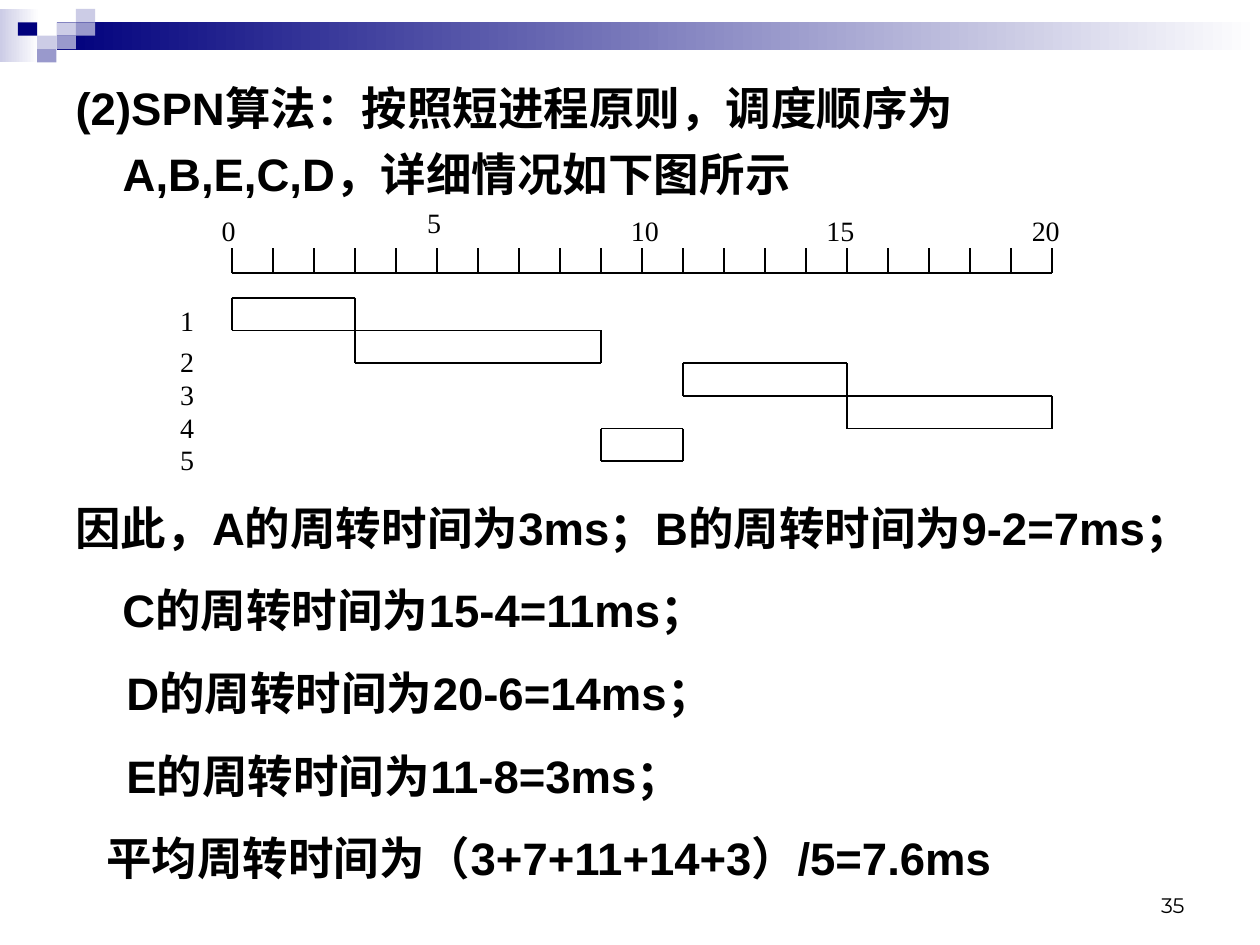
"""Build the slide on SPN scheduling with its timeline and turnaround times."""
from lxml import etree
from pptx import Presentation
from pptx import util as u
from pptx.dml.color import RGBColor
from pptx.enum import dml, shapes, text
from pptx.oxml.ns import qn

COLORS = {"ink": "000000", "navy": "00007D", "mid": "9999CC", "pale": "CCCCE6", "white": "FFFFFF"}
HANGING = 0.95
SQUARES = [(2, 1, "pale"), (3, 0, "pale"), (3, 1, "mid"), (1, 2, "pale"),
           (0, 1, "navy"), (2, 2, "mid"), (1, 3, "mid")]
SCALE_LABELS = [("0", 4.22, 4.19), ("5", 8.36, 4.01), ("10", 12.47, 4.19),
                ("15", 16.41, 4.19), ("20", 20.55, 4.19)]
PROCESSES = [(0, 3, 5.99), (3, 9, 6.83), (11, 15, 7.49), (15, 20, 8.15), (9, 11, 8.79)]
INTRO = [("(2)SPN算法：按照短进程原则，调度顺序为A,B,E,C,D，详细情况如下图所示", HANGING, -HANGING)]
RESULTS = [
    ("因此，A的周转时间为3ms；B的周转时间为9-2=7ms；", HANGING, -HANGING),
    ("C的周转时间为15-4=11ms；", HANGING, 0),
    ("D的周转时间为20-6=14ms；", 1.03, 0),
    ("E的周转时间为11-8=3ms；", 1.03, 0),
    ("平均周转时间为（3+7+11+14+3）/5=7.6ms", 0.62, 0),
]


class SlideBuilder:
    """Hold the style and the current slide."""

    def __init__(self, page):
        self.page = page
        self.start, self.end, self.ticks = 4.67, 21.21, 20
        self.axis_y, self.tick = 5.51, 0.51
        self.bars_y, self.row = 6.0, 0.66

    def color(self, name):
        return RGBColor.from_string(COLORS[name])

    def time_x(self, time):
        return self.start + (self.end - self.start) * time / self.ticks

    def rectangle(self, left, top, width, height, *names):
        box = self.page.shapes.add_shape(
            shapes.MSO_SHAPE.RECTANGLE, u.Cm(left), u.Cm(top), u.Cm(width), u.Cm(height))
        box.shadow.inherit = False
        box.line.fill.background()
        if len(names) == 1:
            box.fill.solid()
            box.fill.fore_color.rgb = self.color(names[0])
            return
        box.fill.gradient()
        box.fill.gradient_angle = 0
        for stop, name, position in zip(box.fill.gradient_stops, names, (0, 1)):
            stop.color.rgb = self.color(name)
            stop.position = position

    def line(self, x1, y1, x2, y2):
        line = self.page.shapes.add_connector(
            shapes.MSO_CONNECTOR.STRAIGHT, u.Cm(x1), u.Cm(y1), u.Cm(x2), u.Cm(y2))
        line.line.width = u.Pt(1)
        line.line.dash_style = dml.MSO_LINE.SOLID
        line.line.color.rgb = self.color("ink")
        etree.SubElement(line._element.spPr, qn("a:effectLst"))

    def bar(self, row, begin, finish):
        left, right = self.time_x(begin), self.time_x(finish)
        top = self.bars_y + row * self.row
        bottom = top + self.row
        for y in (top, bottom):
            self.line(left, y, right, y)
        for x in (left, right):
            self.line(x, top, x, bottom)

    def span(self, para, words, size, font, bold=False):
        span = para.add_run()
        span.text = words
        span.font.size = u.Pt(size)
        span.font.name = font
        span.font.bold = bold
        span.font.color.rgb = self.color("ink")

    def label(self, words, left, top, width, height, size=16, font="Times New Roman", right=False):
        box = self.page.shapes.add_textbox(u.Cm(left), u.Cm(top), u.Cm(width), u.Cm(height))
        box.text_frame.word_wrap = right
        para = box.text_frame.paragraphs[0]
        if right:
            box.text_frame.vertical_anchor = text.MSO_ANCHOR.BOTTOM
            para.alignment = text.PP_ALIGN.RIGHT
        self.span(para, words, size, font)

    def body(self, box, lines):
        frame = box.text_frame
        frame.word_wrap = True
        frame.auto_size = text.MSO_AUTO_SIZE.NONE
        for number, (words, margin, indent) in enumerate(lines):
            para = frame.add_paragraph() if number else frame.paragraphs[0]
            settings = para._p.get_or_add_pPr()
            settings.set("marL", str(u.Cm(margin)))
            settings.set("indent", str(u.Cm(indent)))
            etree.SubElement(settings, qn("a:buNone"))
            para.line_spacing = 1.2
            para.space_before = u.Pt(4.9 if number else 0)
            para.space_after = u.Pt(4.9)
            self.span(para, words, 26, "Arial", True)

    def header(self):
        self.rectangle(0, 0.18, 0.79, 1.07, "pale", "white")
        self.rectangle(1.14, 0.45, 24.26, 0.56, "navy", "white")
        for column, row, name in SQUARES:
            self.rectangle(0.36 + column * 0.39, 0.18 + row * 0.27, 0.39, 0.27, name)

    def timeline(self):
        self.line(self.start, self.axis_y, self.end, self.axis_y)
        for time in range(self.ticks + 1):
            x = self.time_x(time)
            self.line(x, self.axis_y, x, self.axis_y - self.tick)
        for words, left, top in SCALE_LABELS:
            self.label(words, left, top, 0.51 + 0.28 * len(words), 0.91)
        for row, (begin, finish, label_y) in enumerate(PROCESSES):
            self.bar(row, begin, finish)
            self.label(str(row + 1), 3.38, label_y, 0.79, 0.91)


def main():
    deck = Presentation()
    deck.slide_width, deck.slide_height = u.Cm(25.4), u.Cm(19.05)
    page = deck.slides.add_slide(deck.slide_layouts[1])
    title = page.shapes.title._element
    title.getparent().remove(title)
    builder = SlideBuilder(page)
    builder.header()
    builder.label("35", 18.21, 17.35, 5.92, 1.27, 12, "Montserrat", True)
    intro = page.placeholders[1]
    intro.left, intro.top, intro.width, intro.height = u.Cm(1.27), u.Cm(1.27), u.Cm(22.86), u.Cm(2.97)
    builder.body(intro, INTRO)
    results = page.shapes.add_textbox(u.Cm(1.27), u.Cm(9.73), u.Cm(23.5), u.Cm(8.26))
    builder.body(results, RESULTS)
    builder.timeline()
    deck.save("out.pptx")


if __name__ == "__main__":
    main()
